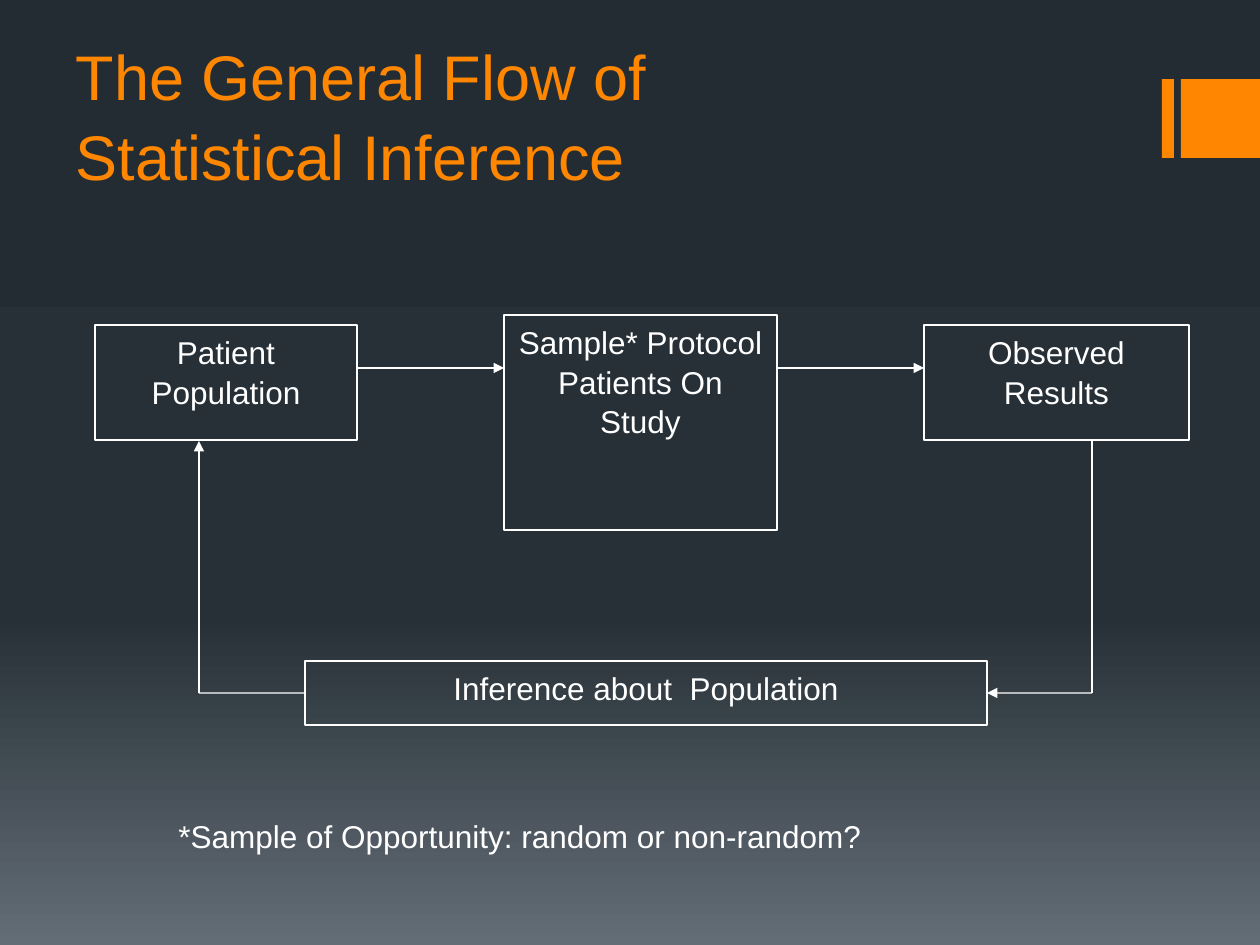
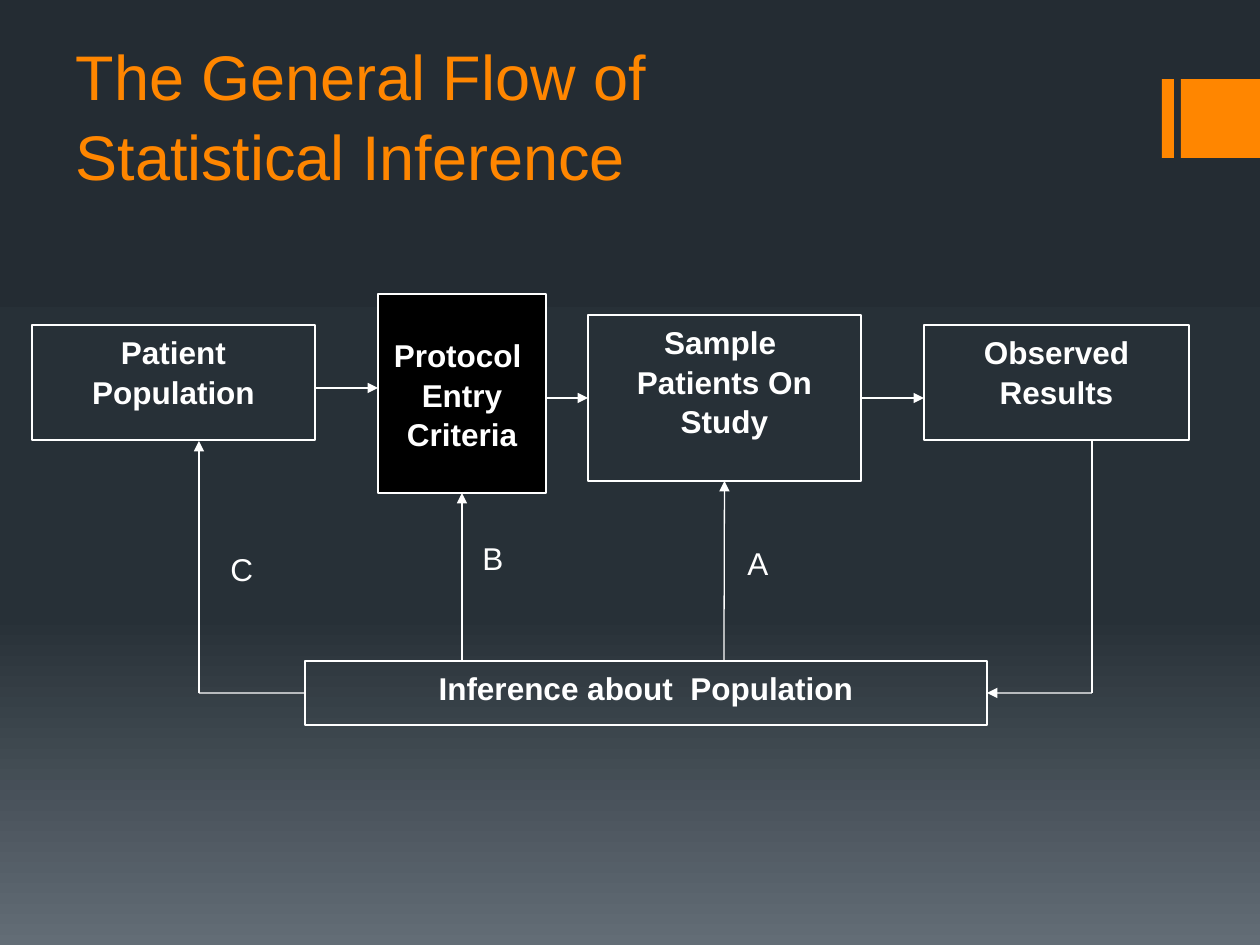
from dataclasses import dataclass

from lxml.etree import SubElement
from pptx import Presentation
from pptx.dml.color import RGBColor
from pptx.enum.shapes import MSO_CONNECTOR, MSO_SHAPE
from pptx.enum.text import MSO_ANCHOR, PP_ALIGN
from pptx.oxml.ns import qn
from pptx.util import Emu, Pt


@dataclass(frozen=True)
class Theme:
    accent: str = "FF8600"
    ink: str = "FFFFFF"
    black: str = "000000"
    backdrop: tuple = ((0, "242C33"), (65, "273037"), (100, "636D76"))
    font: str = "Arial"
    title_size: int = 36
    body_size: int = 18
    line_width: float = 0.75
    line_spacing: float = 1.05


THEME = Theme()
PX_PER_INCH = 126
TITLE = "The General Flow of \vStatistical Inference"
TITLE_ONLY = 5
TOP, LEFT, BOTTOM, RIGHT = range(4)

# Positions shared by both flow charts, in px
LOOP_LEFT, LOOP_RIGHT = 199, 1092
LOOP_TOP, LOOP_BOTTOM = 441, 693


def px(length):
    return Emu(round(length * 914400 / PX_PER_INCH))


def color(value):
    return RGBColor.from_string(value)


# Text
def write(frame, text, size=THEME.body_size, ink=THEME.ink, bold=False,
          align=PP_ALIGN.LEFT, anchor=MSO_ANCHOR.TOP):
    frame.word_wrap = True
    frame.vertical_anchor = anchor
    frame.text = text
    for para in frame.paragraphs:
        para.alignment = align
        para.line_spacing = THEME.line_spacing
        para.font.name = THEME.font
        para.font.size = Pt(size)
        para.font.bold = bold
        para.font.color.rgb = color(ink)


def add_label(page, text, left, top, width, height=63):
    label = page.shapes.add_textbox(px(left), px(top), px(width), px(height))
    write(label.text_frame, text)


# Shapes
def add_rectangle(page, left, top, width, height, fill=None):
    rectangle = page.shapes.add_shape(
        MSO_SHAPE.RECTANGLE, px(left), px(top), px(width), px(height))
    rectangle.shadow.inherit = False
    if fill:
        rectangle.fill.solid()
        rectangle.fill.fore_color.rgb = color(fill)
    else:
        rectangle.fill.background()
    return rectangle


def add_box(page, text, left, top, width, height, bold=False, fill=None,
            anchor=MSO_ANCHOR.TOP):
    box = add_rectangle(page, left, top, width, height, fill)
    box.line.color.rgb = color(THEME.ink)
    box.line.width = Pt(THEME.line_width)
    write(box.text_frame, text, bold=bold, align=PP_ALIGN.CENTER, anchor=anchor)
    return box


def add_line(page, start, end, arrow=True, begin_at=None, end_at=None):
    """Draw a line; begin_at and end_at are (box, side) pairs to join."""
    line = page.shapes.add_connector(
        MSO_CONNECTOR.STRAIGHT, *map(px, start), *map(px, end))
    line.line.color.rgb = color(THEME.ink)
    line.line.width = Pt(THEME.line_width)
    if arrow:
        SubElement(line.line._get_or_add_ln(), qn("a:tailEnd"), type="triangle")
    SubElement(line.element.spPr, qn("a:effectLst"))
    if begin_at:
        line.begin_connect(*begin_at)
    if end_at:
        line.end_connect(*end_at)


# Shared page parts
def set_backdrop(master):
    fill = master.background.fill
    fill.gradient()
    fill.gradient_angle = 270
    stops = master.element.find(".//" + qn("a:gsLst"))
    stops.clear()
    for percent, value in THEME.backdrop:
        stop = SubElement(stops, qn("a:gs"), pos=str(percent * 1000))
        SubElement(stop, qn("a:srgbClr"), val=value)


def add_page(deck):
    page = deck.slides.add_slide(deck.slide_layouts[TITLE_ONLY])
    for left, width in ((1162, 12), (1181, 79)):
        band = add_rectangle(page, left, 79, width, 79, THEME.accent)
        band.line.fill.background()
    title = page.shapes.title
    title.left, title.top, title.width, title.height = map(px, (63, 42, 1113, 157))
    write(title.text_frame, TITLE, THEME.title_size, THEME.accent,
          anchor=MSO_ANCHOR.BOTTOM)
    return page


def add_feedback_loop(page, bold=False):
    """Results feed the inference, which leads back to the population."""
    add_box(page, "Observed Results", 924, 325, 265, 115, bold)
    inference = add_box(page, "Inference about  Population", 305, 661, 682, 64, bold)
    lower_left, lower_right = (LOOP_LEFT, LOOP_BOTTOM), (LOOP_RIGHT, LOOP_BOTTOM)
    add_line(page, (LOOP_RIGHT, LOOP_TOP), lower_right, arrow=False)
    add_line(page, lower_right, (987, LOOP_BOTTOM), end_at=(inference, RIGHT))
    add_line(page, (305, LOOP_BOTTOM), lower_left, arrow=False,
             begin_at=(inference, LEFT))
    add_line(page, lower_left, (LOOP_LEFT, LOOP_TOP))


# Pages
def add_basic_flow(deck):
    page = add_page(deck)
    add_box(page, "Patient Population", 95, 325, 262, 115)
    add_box(page, "Sample* Protocol Patients On Study", 504, 315, 273, 215)
    add_feedback_loop(page)
    for start, end in ((357, 504), (777, 924)):
        add_line(page, (start, 368), (end, 368))
    add_label(page, "*Sample of Opportunity: random or non-random?", 166, 809, 936)


def add_criteria_flow(deck):
    page = add_page(deck)
    add_box(page, "Patient Population", 32, 325, 283, 115, bold=True)
    sample = add_box(page, "Sample  Patients On Study", 588, 315, 273, 166, bold=True)
    add_feedback_loop(page, bold=True)
    criteria = add_box(page, "Protocol \nEntry\nCriteria", 378, 294, 168, 199,
                       bold=True, fill=THEME.black, anchor=MSO_ANCHOR.MIDDLE)

    # Forward flow, with a bare arrowhead beside the criteria
    add_line(page, (315, 388), (378, 388))
    add_line(page, (557, 388), (557, 388))
    add_line(page, (546, 398), (588, 398), end_at=(sample, LEFT))
    add_line(page, (861, 398), (924, 398), begin_at=(sample, RIGHT))

    # Inference back to the criteria and the sample
    add_line(page, (462, 661), (462, 493), end_at=(criteria, BOTTOM))
    add_line(page, (724, 661), (724, 481), end_at=(sample, BOTTOM))
    for letter, left, top in (("C", 218, 542), ("B", 470, 531), ("A", 735, 536)):
        add_label(page, letter, left, top, 54)


def main():
    deck = Presentation()
    deck.slide_width, deck.slide_height = px(1260), px(945)
    set_backdrop(deck.slide_master)
    add_basic_flow(deck)
    add_criteria_flow(deck)
    deck.save("out.pptx")


if __name__ == "__main__":
    main()
